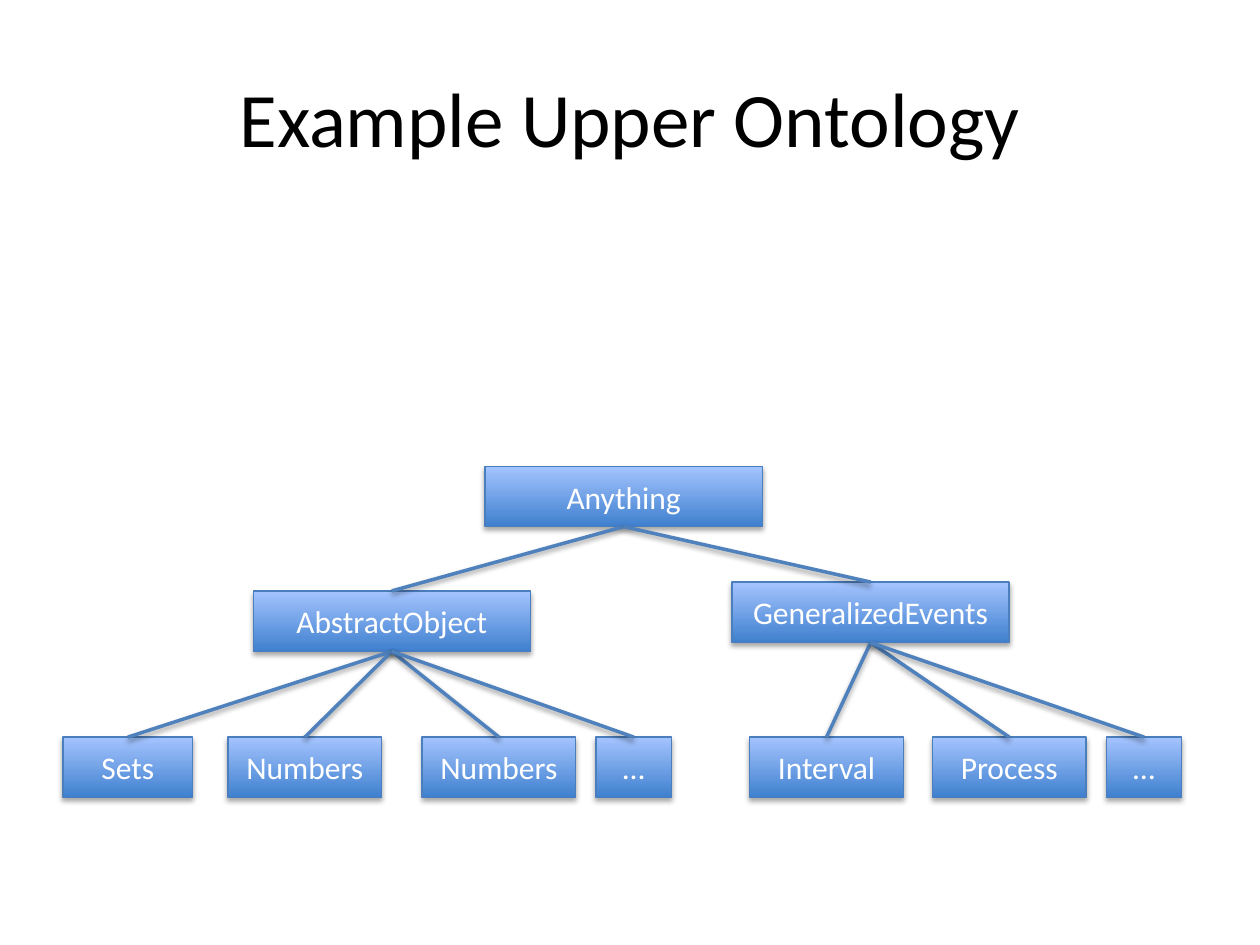
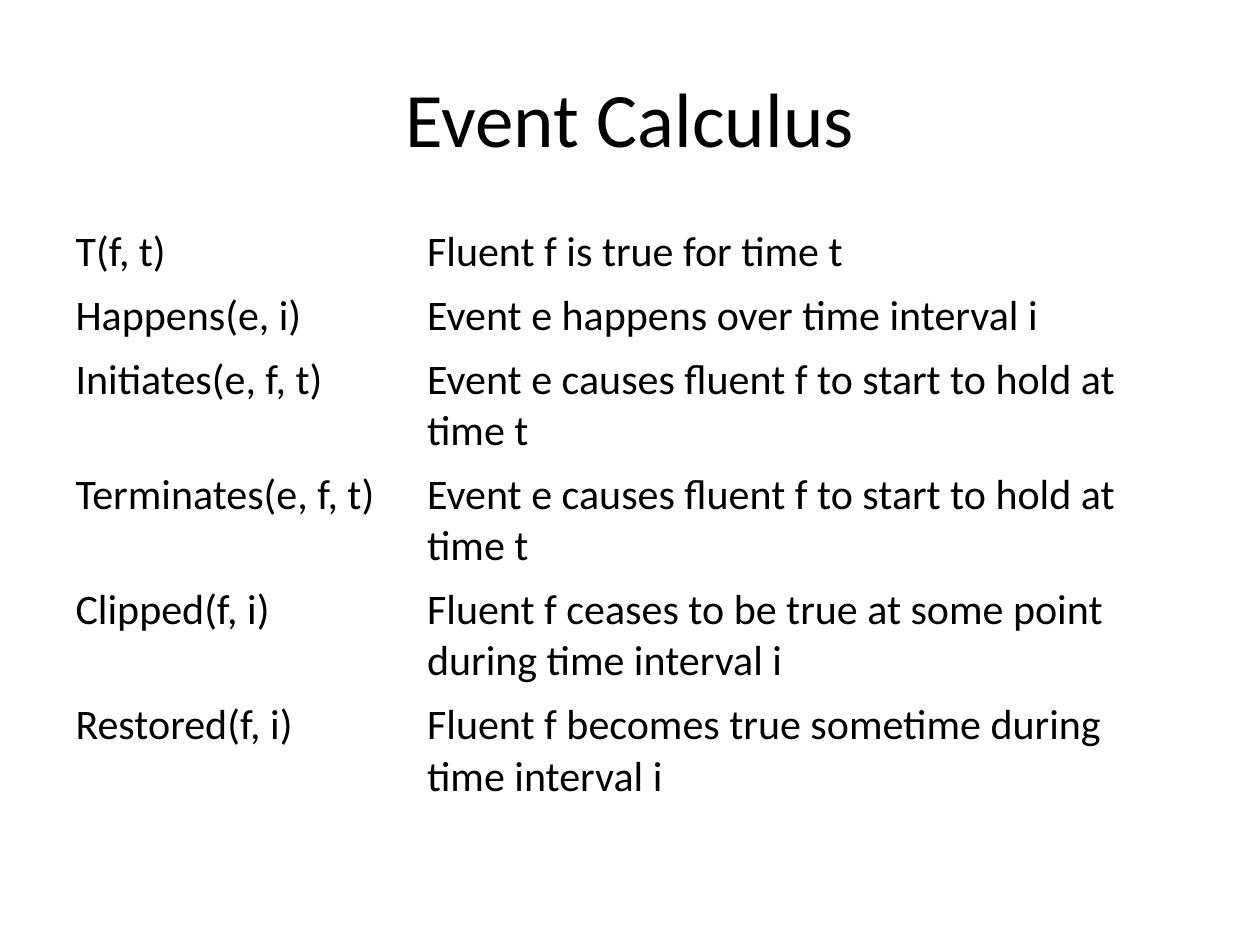
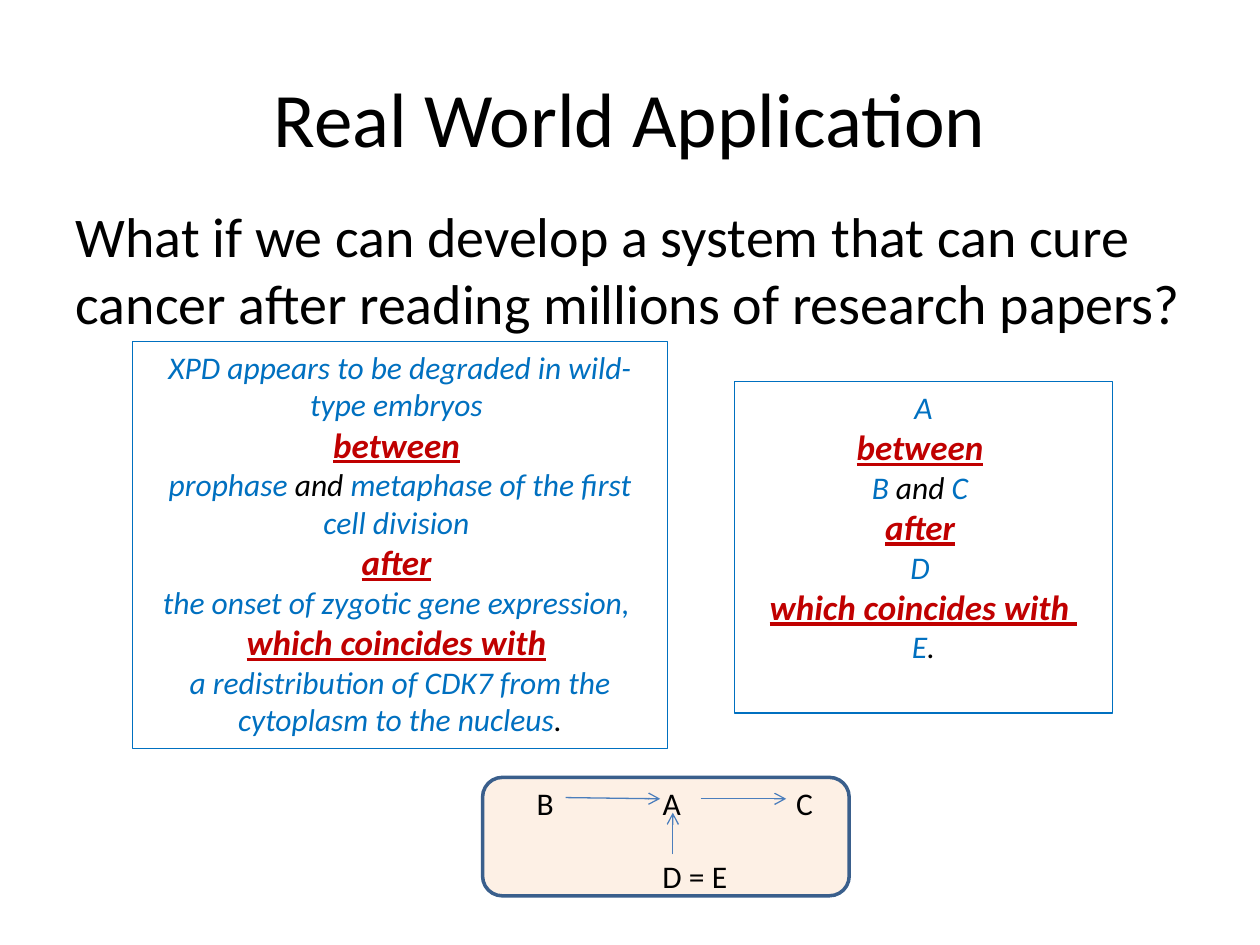
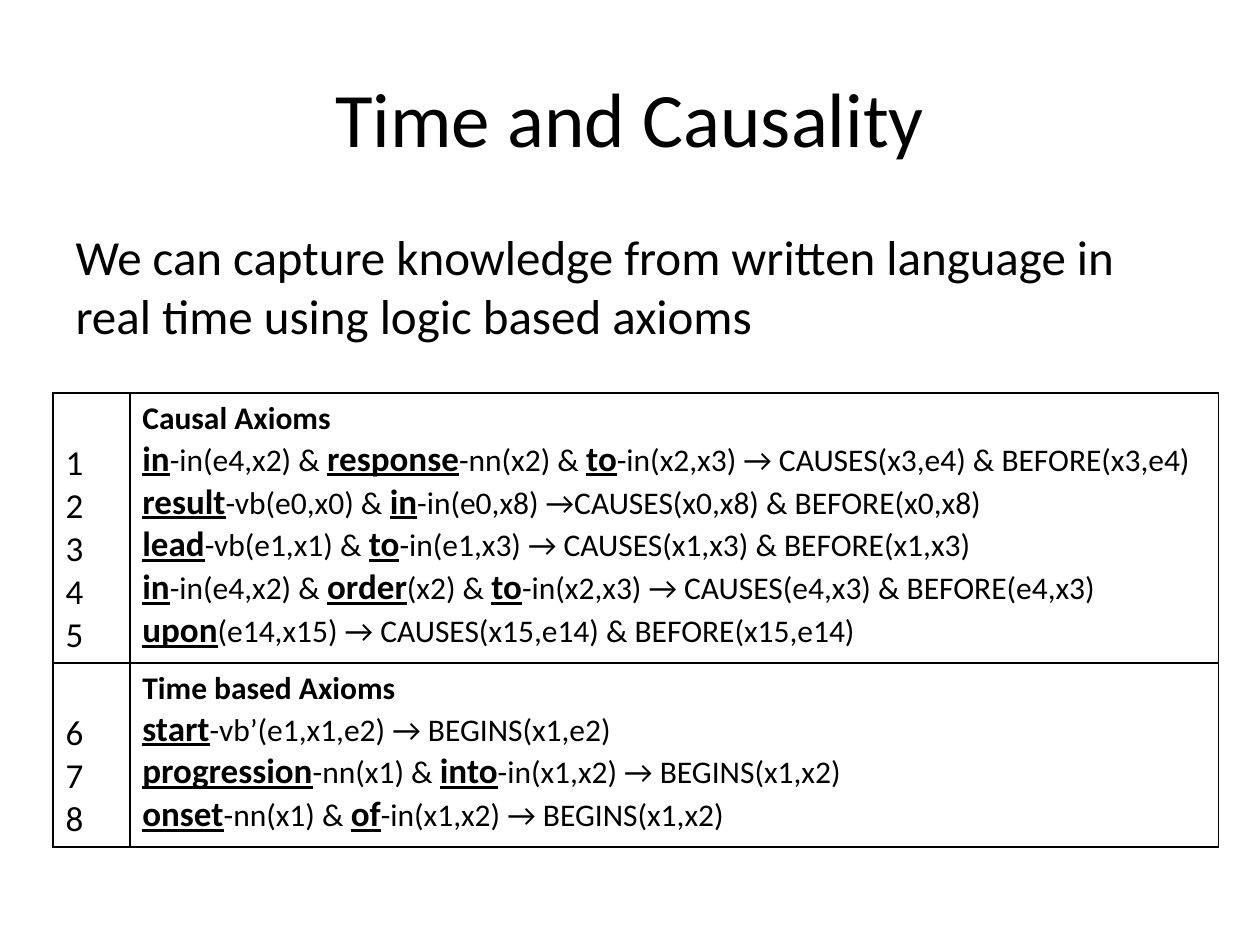
from lxml import etree
from pptx import Presentation
from pptx.dml.color import RGBColor as RGB
from pptx.enum.shapes import MSO_CONNECTOR as LINK, MSO_SHAPE as SHAPE
from pptx.enum.text import MSO_ANCHOR as ANCHOR, PP_ALIGN as ALIGN
from pptx.oxml.ns import qn
from pptx.util import Inches, Pt

FONT = "Calibri"
HEX = {
    "black": "000000", "white": "FFFFFF", "blue": "0070C0", "red": "C00000",
    "edge": "4B7EBC", "link": "4F81BD", "deep": "3F80CE", "pale": "A4C4FF",
    "peach": "FCD5B5", "navy": "3A5F8C",
}
COLOR = {name: RGB.from_string(code) for name, code in HEX.items()}
PLAIN = "{2D5ABB26-0587-4C30-8999-92F81FD0307C}"  # table style without grid


def rich(frame, text, size, tint="black", key="black", slant=None, align=None):
    """Write lines; *word* is a larger underlined key word, |word| is black."""
    frame.text = text
    frame.word_wrap = True
    for par in frame.paragraphs:
        line = par.text
        par.clear()
        par.alignment = align
        for i, part in enumerate(line.split("*")):
            for j, bit in enumerate(part.split("|")):
                if not bit:
                    continue
                run = par.add_run()
                run.text = bit
                font = run.font
                font.name, font.italic = FONT, slant
                font.size = Pt(size + 2 if i % 2 else size)
                font.color.rgb = COLOR[key if i % 2 else "black" if j % 2 else tint]
                if i % 2:
                    font.bold = font.underline = True


def grid(slide, left, top, cols, rows):
    """Add a bare table with the given column widths and row heights."""
    frame = slide.shapes.add_table(len(rows), len(cols), Inches(left), Inches(top),
                                   Inches(sum(cols)), Inches(sum(rows)))
    table = frame.table
    table.first_row = table.horz_banding = False
    frame.element.find(".//" + qn("a:tableStyleId")).text = PLAIN
    for col, width in zip(table.columns, cols):
        col.width = Inches(width)
    for row, height in zip(table.rows, rows):
        row.height = Inches(height)
    for cell in table.iter_cells():
        cell.fill.background()
    return table


deck = Presentation()
deck.slide_width, deck.slide_height = Inches(10), Inches(7.5)

# Slides and titles: layout 5 is title only, layout 1 has a body
slides = []
for title, layout in [("Example Upper Ontology", 5), ("Event Calculus", 5),
                      ("Real World Application", 1), ("Time and Causality", 1)]:
    slide = deck.slides.add_slide(deck.slide_layouts[layout])
    head = slide.shapes.title
    head.left, head.top, head.width, head.height = map(Inches, (0.5, 0.3, 9, 1.25))
    rich(head.text_frame, title, 44, align=ALIGN.CENTER)
    slides.append(slide)
tree, events, cancer, axioms = slides

# Body texts
for slide, top, height, size, text in [
    (cancer, 1.55, 5.15, 32, "What if we can develop a system that can cure cancer "
                             "after reading millions of research papers?"),
    (axioms, 1.75, 4.95, 28, "We can capture knowledge from written language in "
                             "real time using logic based axioms"),
]:
    body = slide.placeholders[1]
    body.left, body.top, body.width, body.height = map(Inches, (0.5, top, 9, height))
    rich(body.text_frame, text, size)
    par = body.text_frame.paragraphs[0]
    par.space_before = Pt(0)
    props = par._p.get_or_add_pPr()
    props.set("marL", "0")
    props.set("indent", "0")
    etree.SubElement(props, qn("a:buNone"))

# Ontology tree: text, left, top, width, index of parent
nodes = [
    ("Anything", 3.85, 3.7, 2.2, None),
    ("AbstractObject", 2.01, 4.69, 2.2, 0),
    ("GeneralizedEvents", 5.81, 4.62, 2.2, 0),
    ("Sets", 0.5, 5.85, 1.03, 1),
    ("Numbers", 1.81, 5.85, 1.22, 1),
    ("Numbers", 3.35, 5.85, 1.22, 1),
    ("…", 4.73, 5.85, 0.6, 1),
    ("Interval", 5.95, 5.85, 1.22, 2),
    ("Process", 7.4, 5.85, 1.22, 2),
    ("…", 8.78, 5.85, 0.6, 2),
]
boxes, links = [], []
for text, left, top, width, root in nodes:
    box = tree.shapes.add_shape(SHAPE.RECTANGLE, Inches(left), Inches(top),
                                Inches(width), Inches(0.48))
    box.fill.gradient()
    box.fill.gradient_angle = 90
    for stop, name in zip(box.fill.gradient_stops, ("deep", "pale")):
        stop.color.rgb = COLOR[name]
    box.line.color.rgb = COLOR["edge"]
    box.line.width = Pt(0.75)
    rich(box.text_frame, text, 18, "white", align=ALIGN.CENTER)
    boxes.append(box)

for box, node in zip(boxes, nodes):
    if node[4] is None:
        continue
    link = tree.shapes.add_connector(LINK.STRAIGHT, 0, 0, 0, 0)
    link.begin_connect(boxes[node[4]], 2)
    link.end_connect(box, 0)
    link.line.color.rgb = COLOR["link"]
    link.line.width = Pt(2)
    links.append(link)

# Soft shadows below boxes and links
for group, dist, alpha in [(boxes, 1.8, 35), (links, 1.6, 38)]:
    for item in group:
        list_ = etree.SubElement(item.element.spPr, qn("a:effectLst"))
        shade = etree.SubElement(list_, qn("a:outerShdw"), blurRad=str(Pt(3.1)),
                                 dist=str(Pt(dist)), dir="5400000", rotWithShape="0")
        tone = etree.SubElement(shade, qn("a:srgbClr"), val=HEX["black"])
        etree.SubElement(tone, qn("a:alpha"), val=str(alpha * 1000))

# Event calculus table
terms = [
    ("T(f, t)", "Fluent f is true for time t"),
    ("Happens(e, i)", "Event e happens over time interval i"),
    ("Initiates(e, f, t)", "Event e causes fluent f to start to hold at time t"),
    ("Terminates(e, f, t)", "Event e causes fluent f to start to hold at time t"),
    ("Clipped(f, i)", "Fluent f ceases to be true at some point during time interval i"),
    ("Restored(f, i)", "Fluent f becomes true sometime during time interval i"),
]
table = grid(events, 0.5, 1.75, [2.79, 6.21], [0.41] * len(terms))
for row, term in zip(table.rows, terms):
    for cell, text in zip(row.cells, term):
        rich(cell.text_frame, text, 24)

# Sentence and its pattern
quote = """XPD appears to be degraded in wild-type embryos 
*between* 
prophase |and| metaphase of the first cell division 
*after* 
the onset of zygotic gene expression, 
*which coincides with* 
a redistribution of CDK7 from the cytoplasm to the nucleus|.|"""
form = """A
*between* 
B| and |C 
*after* 
D 
*which coincides with *
E|.|"""
for text, *area in [(quote, 1.05, 2.71, 4.25, 3.23), (form, 5.83, 3.03, 3, 2.63)]:
    box = cancer.shapes.add_shape(SHAPE.RECTANGLE, *map(Inches, area))
    box.shadow.inherit = False
    box.fill.background()
    box.line.color.rgb = COLOR["blue"]
    box.line.width = Pt(0.75)
    box.text_frame.vertical_anchor = ANCHOR.TOP
    rich(box.text_frame, text, 18, "blue", "red", True, ALIGN.CENTER)

# Time line panel
panel = cancer.shapes.add_shape(SHAPE.ROUNDED_RECTANGLE, Inches(3.83), Inches(6.17),
                                Inches(2.91), Inches(0.94))
panel.shadow.inherit = False
panel.fill.solid()
panel.fill.fore_color.rgb = COLOR["peach"]
tone = panel.element.spPr.find(".//" + qn("a:srgbClr"))
etree.SubElement(tone, qn("a:alpha"), val="35000")
panel.line.color.rgb = COLOR["navy"]
panel.line.width = Pt(2)

for text, left, top, width, tabs in [("B\tA\tC", 4.16, 6.17, 2.58, (1, 2.06)),
                                     ("D = E", 5.16, 6.75, 1.14, ())]:
    note = cancer.shapes.add_textbox(Inches(left), Inches(top), Inches(width), Inches(0.4))
    rich(note.text_frame, text, 18)
    if tabs:
        props = note.text_frame.paragraphs[0]._p.get_or_add_pPr()
        stops = etree.SubElement(props, qn("a:tabLst"))
        for pos in tabs:
            etree.SubElement(stops, qn("a:tab"), pos=str(Inches(pos)), algn="l")

for ends in [(4.49, 6.33, 5.24, 6.34), (5.56, 6.34, 6.24, 6.34), (5.34, 6.78, 5.34, 6.45)]:
    arrow = cancer.shapes.add_connector(LINK.STRAIGHT, *map(Inches, ends))
    arrow.line.color.rgb = COLOR["edge"]
    arrow.line.width = Pt(0.75)
    etree.SubElement(arrow.element.spPr.find(qn("a:ln")), qn("a:tailEnd"), type="arrow")
    etree.SubElement(arrow.element.spPr, qn("a:effectLst"))

# Axiom table: numbers start one line below the heading
causal = """Causal Axioms
*in*-in(e4,x2) & *response*-nn(x2) & *to*-in(x2,x3) → CAUSES(x3,e4) & BEFORE(x3,e4)
*result*-vb(e0,x0) & *in*-in(e0,x8) →CAUSES(x0,x8) & BEFORE(x0,x8)
*lead*-vb(e1,x1) & *to*-in(e1,x3) → CAUSES(x1,x3) & BEFORE(x1,x3)
*in*-in(e4,x2) & *order*(x2) & *to*-in(x2,x3) → CAUSES(e4,x3) & BEFORE(e4,x3)
*upon*(e14,x15) → CAUSES(x15,e14) & BEFORE(x15,e14)"""
timed = """Time based Axioms
*start*-vb’(e1,x1,e2) → BEGINS(x1,e2)
*progression*-nn(x1) & *into*-in(x1,x2) → BEGINS(x1,x2)
*onset*-nn(x1) & *of*-in(x1,x2) → BEGINS(x1,x2)"""
table = grid(axioms, 0.42, 3.12, [0.61, 8.64], [1.92, 0.41])
for row, nums, rules in zip(table.rows, ("12345", "678"), (causal, timed)):
    count, logic = row.cells
    count.margin_top = Inches(0.39)
    rich(count.text_frame, "\n".join(nums), 20)
    rich(logic.text_frame, rules, 18)
    logic.text_frame.paragraphs[0].runs[0].font.bold = True

for cell in table.iter_cells():
    props = cell._tc.get_or_add_tcPr()
    for i, side in enumerate(("lnL", "lnR", "lnT", "lnB")):
        edge = etree.Element(qn("a:" + side), w=str(Pt(1)))
        fill = etree.SubElement(edge, qn("a:solidFill"))
        etree.SubElement(fill, qn("a:srgbClr"), val=HEX["black"])
        props.insert(i, edge)

deck.save("out.pptx")
